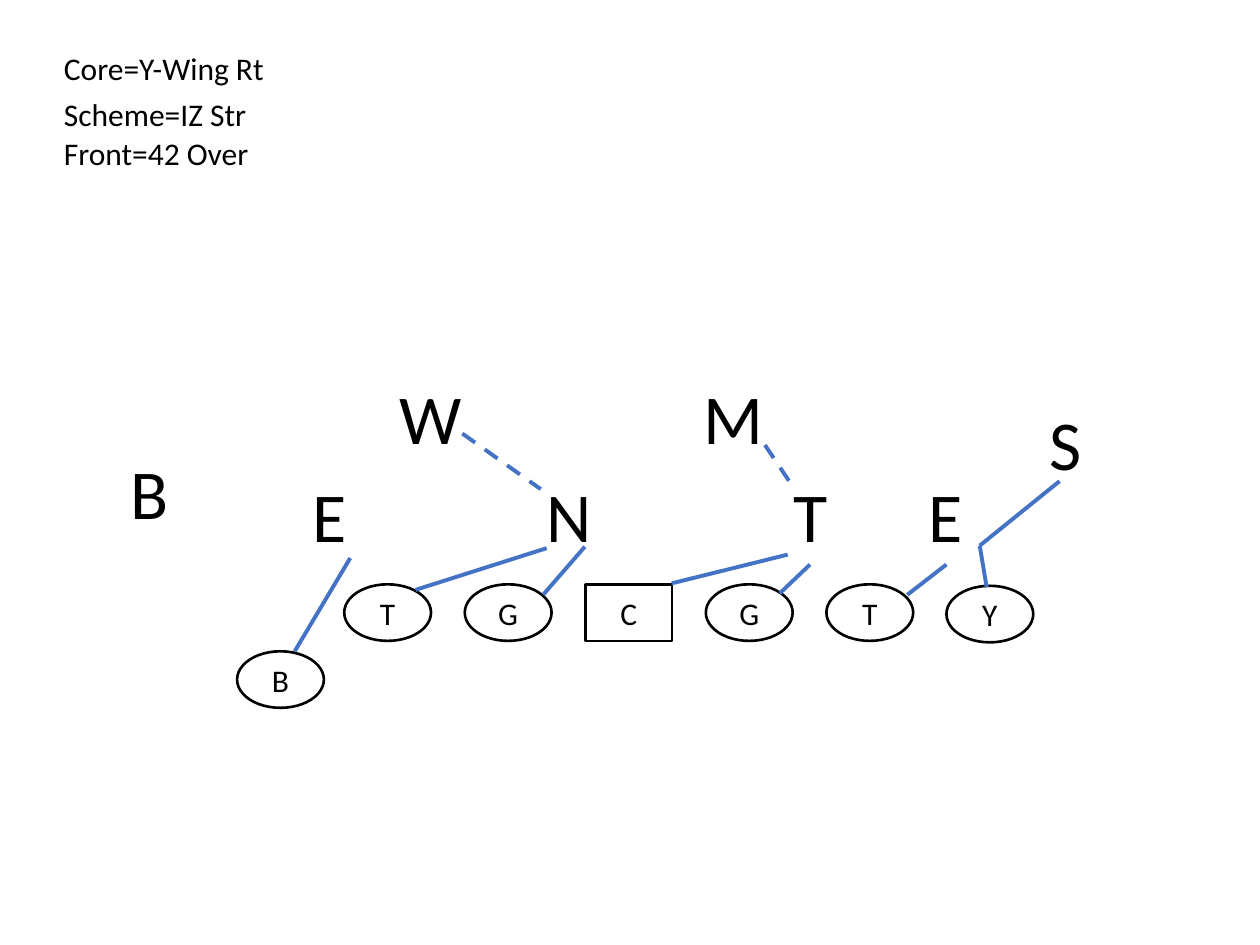
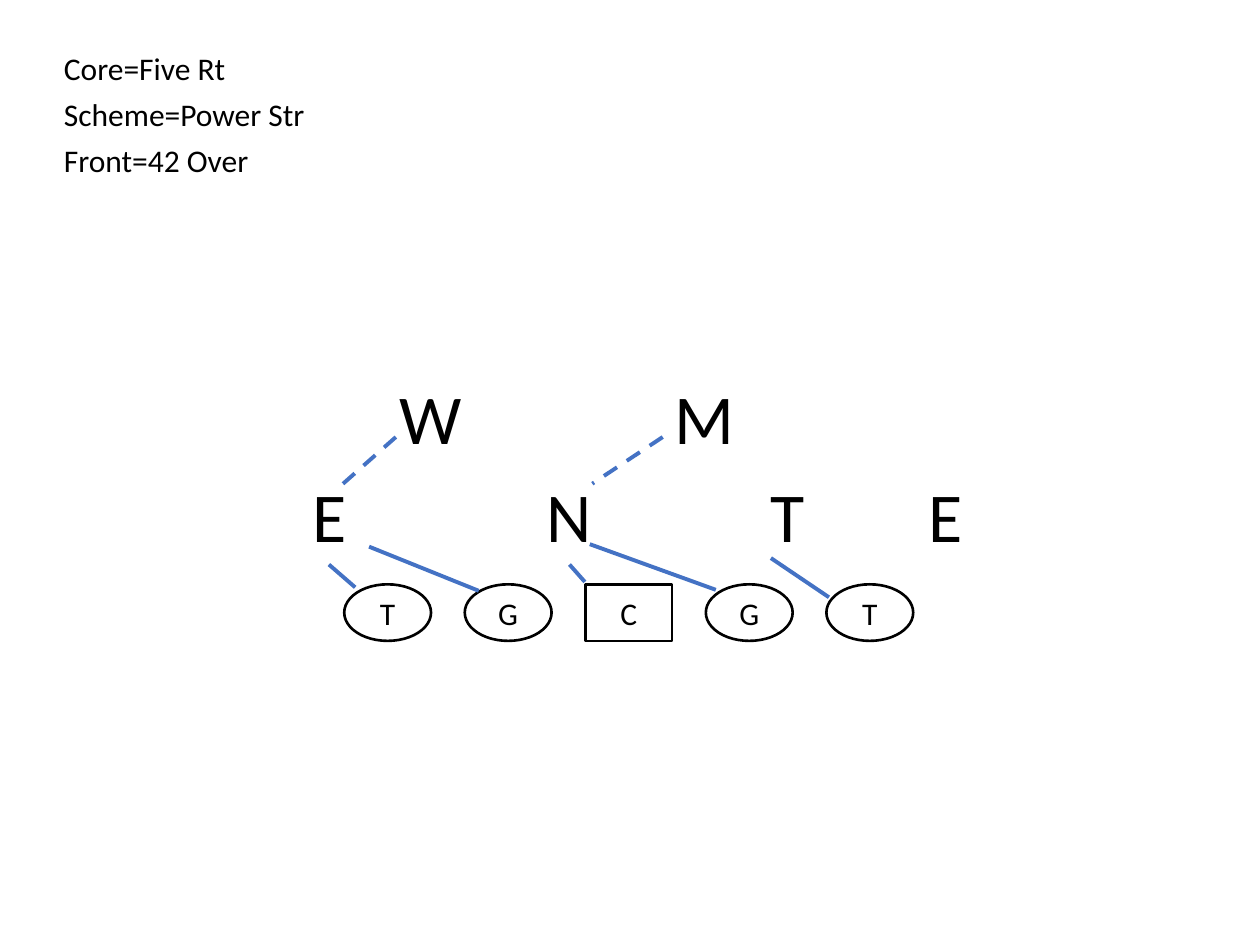
from typing import NamedTuple

from lxml import etree
from pptx import Presentation
from pptx.dml.color import RGBColor
from pptx.enum.dml import MSO_LINE
from pptx.enum.shapes import MSO_CONNECTOR, MSO_SHAPE
from pptx.enum.text import MSO_ANCHOR, MSO_AUTO_SIZE, PP_ALIGN
from pptx.oxml.ns import qn
from pptx.slide import Slide
from pptx.text.text import TextFrame
from pptx.util import Cm, Pt

OVAL, SQUARE = MSO_SHAPE.OVAL, MSO_SHAPE.RECTANGLE
STRAIGHT = MSO_CONNECTOR.STRAIGHT
DASH = MSO_LINE.DASH
MIDDLE, CENTER = MSO_ANCHOR.MIDDLE, PP_ALIGN.CENTER
GROW = MSO_AUTO_SIZE.SHAPE_TO_FIT_TEXT

FONT = "Calibri"
BLACK, WHITE, BLUE = "000000", "FFFFFF", "4472C4"
LABEL_SIZE, DEFENDER_SIZE = 18, 40

# Lengths are centimetres.
LABEL_LEFT, LABEL_HEIGHT = 1.04, 1.02
PLAYER_WIDTH, PLAYER_HEIGHT = 1.75, 1.14
LINE_LEFT, LINE_TOP, LINE_PITCH = 6.94, 11.78, 2.43
DEFENDER_HEIGHT = 1.96
FRONT_TOP, LINEBACKER_TOP = 9.4, 7.42
LETTER_WIDTHS = {"B": 1.3, "E": 1.22, "M": 1.78, "N": 1.42,
                 "S": 1.22, "T": 1.22, "W": 1.78}


class Label(NamedTuple):
    text: str
    top: float
    width: float


class Player(NamedTuple):
    letter: str
    left: float
    top: float


class Block(NamedTuple):
    x1: float
    y1: float
    x2: float
    y2: float
    dashed: bool = False


class Play(NamedTuple):
    labels: list[Label]
    extra_offense: list[Player]
    extra_defense: list[Player]
    blocks: list[Block]


OFFENSIVE_LINE = [Player(letter, LINE_LEFT + i * LINE_PITCH, LINE_TOP)
                  for i, letter in enumerate("TGCGT")]
BASE_DEFENSE = [
    Player("E", 6.05, FRONT_TOP),
    Player("N", 10.77, FRONT_TOP),
    Player("E", 18.47, FRONT_TOP),
    Player("W", 7.8, LINEBACKER_TOP),
]

INSIDE_ZONE = Play(
    labels=[
        Label("Core=Y-Wing Rt", 0.86, 4.62),
        Label("Scheme=IZ Str", 1.8, 4.22),
        Label("Front=42 Over", 2.57, 4.27),
    ],
    extra_offense=[Player("Y", 19.08, 11.81), Player("B", 4.78, 13.13)],
    extra_defense=[
        Player("T", 15.75, FRONT_TOP),
        Player("M", 13.94, LINEBACKER_TOP),
        Player("S", 20.9, 7.95),
        Player("B", 2.39, 8.94),
    ],
    blocks=[
        Block(19.08, 11.38, 18.29, 11.99),
        Block(19.75, 11, 19.89, 11.84),
        Block(19.75, 11, 21.36, 9.7),
        Block(16.33, 11.38, 15.72, 11.96),
        Block(13.54, 11.76, 15.88, 11.18),
        Block(15.42, 8.97, 16.03, 9.88, dashed=True),
        Block(11.79, 11.02, 10.95, 11.99),
        Block(11.02, 11.05, 8.38, 11.89),
        Block(7.06, 11.25, 5.94, 13.13),
        Block(9.32, 8.74, 10.9, 9.86, dashed=True),
    ],
)

POWER = Play(
    labels=[
        Label("Core=Five Rt", 0.86, 3.81),
        Label("Scheme=Power Str", 1.8, 5.41),
        Label("Front=42 Over", 2.72, 4.27),
    ],
    extra_offense=[],
    extra_defense=[
        Player("T", 15.29, FRONT_TOP),
        Player("M", 13.34, LINEBACKER_TOP),
    ],
    blocks=[
        Block(6.63, 11.38, 7.16, 11.84),
        Block(7.44, 11.02, 9.65, 11.91),
        Block(7.98, 8.81, 6.86, 9.8, dashed=True),
        Block(11.48, 11.38, 11.79, 11.73),
        Block(11.89, 10.97, 14.43, 11.89),
        Block(13.36, 8.81, 11.94, 9.75, dashed=True),
        Block(15.54, 11.25, 16.71, 12.04),
    ],
)


def rgb(color: str) -> RGBColor:
    return RGBColor.from_string(color)


def write(tf: TextFrame, text: str, size: int) -> None:
    r = tf.paragraphs[0].add_run()
    r.text = text
    r.font.name = FONT
    r.font.size = Pt(size)
    r.font.color.rgb = rgb(BLACK)


def add_text(s: Slide, text: str, left: float, top: float,
             width: float, height: float, size: int) -> None:
    tf = s.shapes.add_textbox(Cm(left), Cm(top), Cm(width), Cm(height)).text_frame
    tf.word_wrap = False
    tf.auto_size = GROW
    write(tf, text, size)


def add_offense(s: Slide, player: Player) -> None:
    """Draw an offensive player: a square for the center, an oval otherwise."""
    kind = SQUARE if player.letter == "C" else OVAL
    sp = s.shapes.add_shape(kind, Cm(player.left), Cm(player.top),
                            Cm(PLAYER_WIDTH), Cm(PLAYER_HEIGHT))
    sp.shadow.inherit = False
    sp.fill.solid()
    sp.fill.fore_color.rgb = rgb(WHITE)
    sp.line.color.rgb = rgb(BLACK)
    sp.line.width = Pt(1.5)
    tf = sp.text_frame
    tf.vertical_anchor = MIDDLE
    tf.paragraphs[0].alignment = CENTER
    write(tf, player.letter, LABEL_SIZE)


def add_block(s: Slide, block: Block) -> None:
    line = s.shapes.add_connector(STRAIGHT, Cm(block.x1), Cm(block.y1),
                                  Cm(block.x2), Cm(block.y2))
    line.line.color.rgb = rgb(BLUE)
    line.line.width = Pt(2.25)
    if block.dashed:
        line.line.dash_style = DASH
    etree.SubElement(line._element.spPr, qn("a:effectLst"))


def draw_play(s: Slide, play: Play) -> None:
    for label in play.labels:
        add_text(s, label.text, LABEL_LEFT, label.top,
                 label.width, LABEL_HEIGHT, LABEL_SIZE)
    for player in OFFENSIVE_LINE + play.extra_offense:
        add_offense(s, player)
    for player in BASE_DEFENSE + play.extra_defense:
        add_text(s, player.letter, player.left, player.top,
                 LETTER_WIDTHS[player.letter], DEFENDER_HEIGHT, DEFENDER_SIZE)
    for block in play.blocks:
        add_block(s, block)


def main() -> None:
    prs = Presentation()
    prs.slide_width, prs.slide_height = Cm(25.4), Cm(19.05)
    blank = prs.slide_layouts.get_by_name("Blank")
    for play in (INSIDE_ZONE, POWER):
        draw_play(prs.slides.add_slide(blank), play)
    prs.save("out.pptx")


if __name__ == "__main__":
    main()
